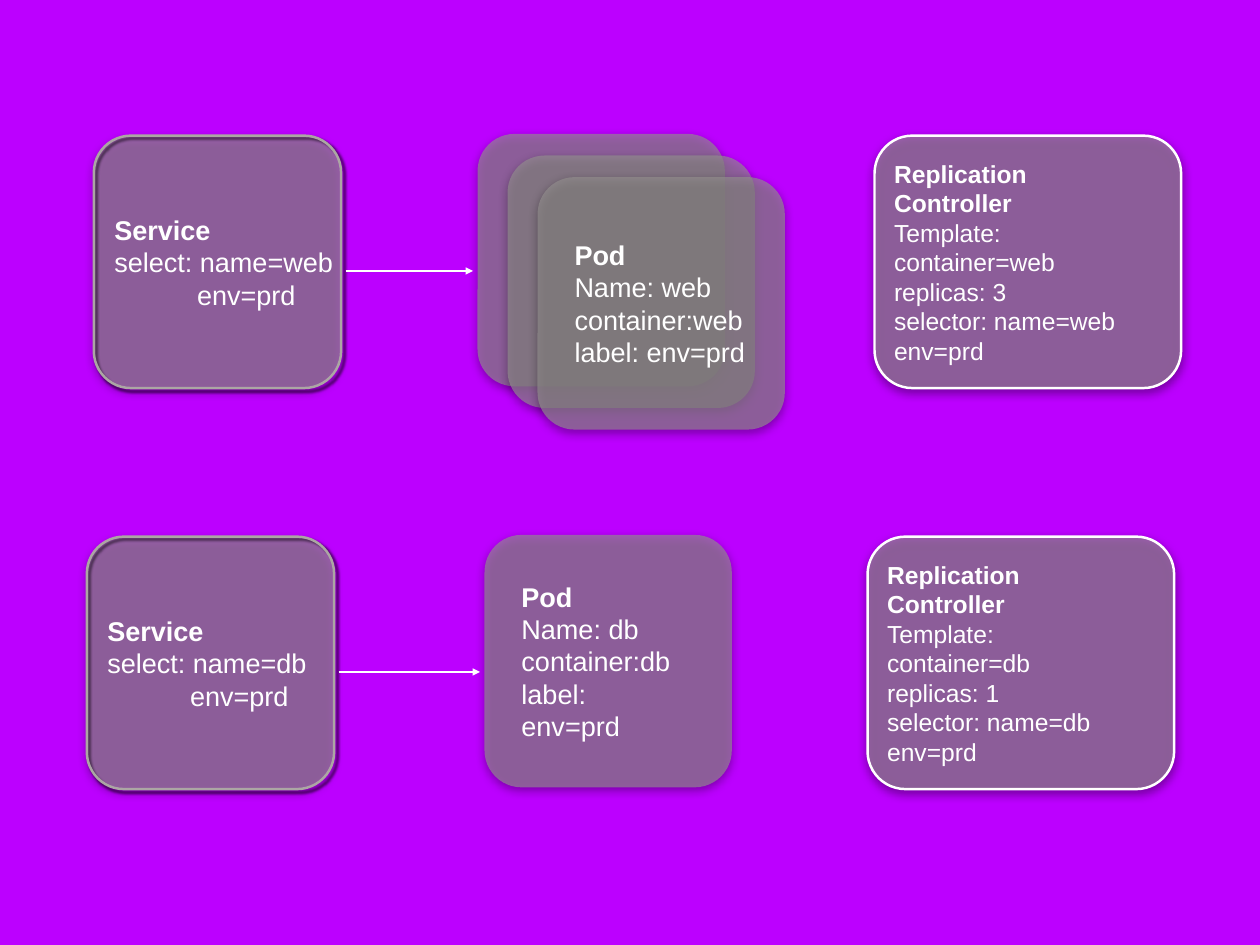
import pptx
import pptx.util
import pptx.dml.color
import pptx.enum.shapes
import pptx.enum.text
import pptx.oxml
import pptx.oxml.ns
from lxml import etree

Cm, Pt = pptx.util.Cm, pptx.util.Pt

# Content: one entry per row; each text is a list of paragraphs, each paragraph a list of lines
ROWS = [
    {
        "top": 3.89, "service_left": 2.69, "pod_left": 13.69, "controller_left": 25.07,
        "pod_count": 3,
        "service": [["Service"], ["select: name=web"], ["env=prd"]],
        "pod": [["Pod"], ["Name: web"], ["container:web"], ["label: env=prd"]],
        "controller": [["Replication ", "Controller"],
                       ["Template: container=web", "replicas: 3", "selector: name=web"],
                       ["env=prd"]],
        "text_widths": {"service": 6.68, "pod": 5.26, "controller": 7.98},
    },
    {
        "top": 15.39, "service_left": 2.49, "pod_left": 13.89, "controller_left": 24.87,
        "pod_count": 1,
        "service": [["Service"], ["select: name=db"], ["env=prd"]],
        "pod": [["Pod"], ["Name: db"], ["container:db"], ["label: env=prd"]],
        "controller": [["Replication ", "Controller"],
                       ["Template: container=db", "replicas: 1", "selector: name=db"],
                       ["env=prd"]],
        "text_widths": {"service": 6.15, "pod": 5.05, "controller": 7.49},
    },
]

# Formats
COLORS = {"background": "BC00FF", "card": "94908F", "rim": "ACA6A4",
          "white": "FFFFFF", "shadow": "000000"}
SOFT_SHADOW = {"alpha": 50, "blur": 8, "distance": 3, "angle": 90}
RIM_SHADOW = {"alpha": 65, "blur": 2, "distance": 3, "angle": 45}
FRAME_FORMAT = {
    "word_wrap": True,
    "auto_size": pptx.enum.text.MSO_AUTO_SIZE.NONE,
    "vertical_anchor": pptx.enum.text.MSO_ANCHOR.MIDDLE,
    "margin_left": Cm(0.15), "margin_right": Cm(0.15),
    "margin_top": Cm(0.15), "margin_bottom": Cm(0.15),
}
TEXT_SIZES = {"service": 22, "pod": 22, "controller": 20}
TEXT_INSETS = {"service": 0.44, "pod": 0.91, "controller": 0.41}
TEXT_HEIGHTS = {"service": 3.12, "pod": 4.06, "controller": 5.41}
CARD_WIDTH, CONTROLLER_WIDTH, CARD_HEIGHT = 7.09, 8.79, 7.24
POD_STEP_X, POD_STEP_Y, POD_RAISE = 0.86, 0.62, 0.05
ARROW_GAP, ARROW_DROP = 0.13, 0.26
SELECTOR_INDENT = 2.37


def rgb(name):
    return pptx.dml.color.RGBColor.from_string(COLORS[name])


def add_xml(parent, tag, **attributes):
    return etree.SubElement(parent, pptx.oxml.ns.qn(tag), attributes)


def add_card(left, top, width, fill=None, line=None, shadow=SOFT_SHADOW):
    card = slide.shapes.add_shape(pptx.enum.shapes.MSO_SHAPE.ROUNDED_RECTANGLE,
                                  Cm(left), Cm(top), Cm(width), Cm(CARD_HEIGHT))
    card.adjustments[0] = 0.15
    card.shadow.inherit = False
    if fill:
        card.fill.solid()
        card.fill.fore_color.rgb = rgb(fill)
        color = card.fill._xPr.find(".//" + pptx.oxml.ns.qn("a:srgbClr"))
        add_xml(color, "a:alpha", val="65000")
    else:
        card.fill.background()
    if line:
        card.line.color.rgb = rgb(line)
        card.line.width = Pt(2)
    else:
        card.line.fill.background()

    effects = card._element.spPr.find(pptx.oxml.ns.qn("a:effectLst"))
    outer = add_xml(effects, "a:outerShdw", blurRad=str(Pt(shadow["blur"])),
                    dist=str(Pt(shadow["distance"])), dir=str(shadow["angle"] * 60000),
                    rotWithShape="0")
    color = add_xml(outer, "a:srgbClr", val=COLORS["shadow"])
    add_xml(color, "a:alpha", val=str(shadow["alpha"] * 1000))


def add_label(row, part, card_left, card_top):
    height = TEXT_HEIGHTS[part]
    label = slide.shapes.add_textbox(
        Cm(card_left + TEXT_INSETS[part]), Cm(card_top + (CARD_HEIGHT - height) / 2),
        Cm(row["text_widths"][part]), Cm(height))
    frame = label.text_frame
    for attribute, value in FRAME_FORMAT.items():
        setattr(frame, attribute, value)
    for number, lines in enumerate(row[part]):
        paragraph = frame.add_paragraph() if number else frame.paragraphs[0]
        for line_number, line in enumerate(lines):
            if line_number:
                paragraph.add_line_break()
            run = paragraph.add_run()
            run.text = line
            font_format = {"name": "Arial", "size": Pt(TEXT_SIZES[part]), "bold": number == 0}
            for attribute, value in font_format.items():
                setattr(run.font, attribute, value)
            run.font.color.rgb = rgb("white")
    if part == "service":
        paragraph._p.get_or_add_pPr().set("marL", str(Cm(SELECTOR_INDENT)))


def add_arrow(start, end, y):
    arrow = slide.shapes.add_connector(pptx.enum.shapes.MSO_CONNECTOR.STRAIGHT,
                                       Cm(start), Cm(y), Cm(end), Cm(y))
    arrow.line.color.rgb = rgb("white")
    arrow.line.width = Pt(2)
    add_xml(arrow.line._get_or_add_ln(), "a:tailEnd", type="triangle")
    add_xml(arrow._element.spPr, "a:effectLst")


# Slide
deck = pptx.Presentation()
deck.slide_width, deck.slide_height = Cm(36.12), Cm(27.1)
slide = deck.slides.add_slide(deck.slide_layouts[6])
slide.background.fill.solid()
slide.background.fill.fore_color.rgb = rgb("background")

for row in ROWS:
    top = row["top"]

    # Service: filled card with a rim on top
    add_card(row["service_left"], top, CARD_WIDTH, fill="card")
    add_card(row["service_left"], top, CARD_WIDTH, line="rim", shadow=RIM_SHADOW)
    add_label(row, "service", row["service_left"], top)

    # Pods: stacked diagonally, text on the front one
    for depth in range(row["pod_count"]):
        pod_left = row["pod_left"] + depth * POD_STEP_X
        pod_top = top - POD_RAISE + depth * POD_STEP_Y
        add_card(pod_left, pod_top, CARD_WIDTH, fill="card")
    add_label(row, "pod", pod_left, pod_top)

    # Replication controller
    add_card(row["controller_left"], top, CONTROLLER_WIDTH, fill="card", line="white")
    add_label(row, "controller", row["controller_left"], top)

    # Arrow from service to pods
    add_arrow(row["service_left"] + CARD_WIDTH + ARROW_GAP, row["pod_left"] - ARROW_GAP,
              top + CARD_HEIGHT / 2 + ARROW_DROP)

deck.save("out.pptx")
